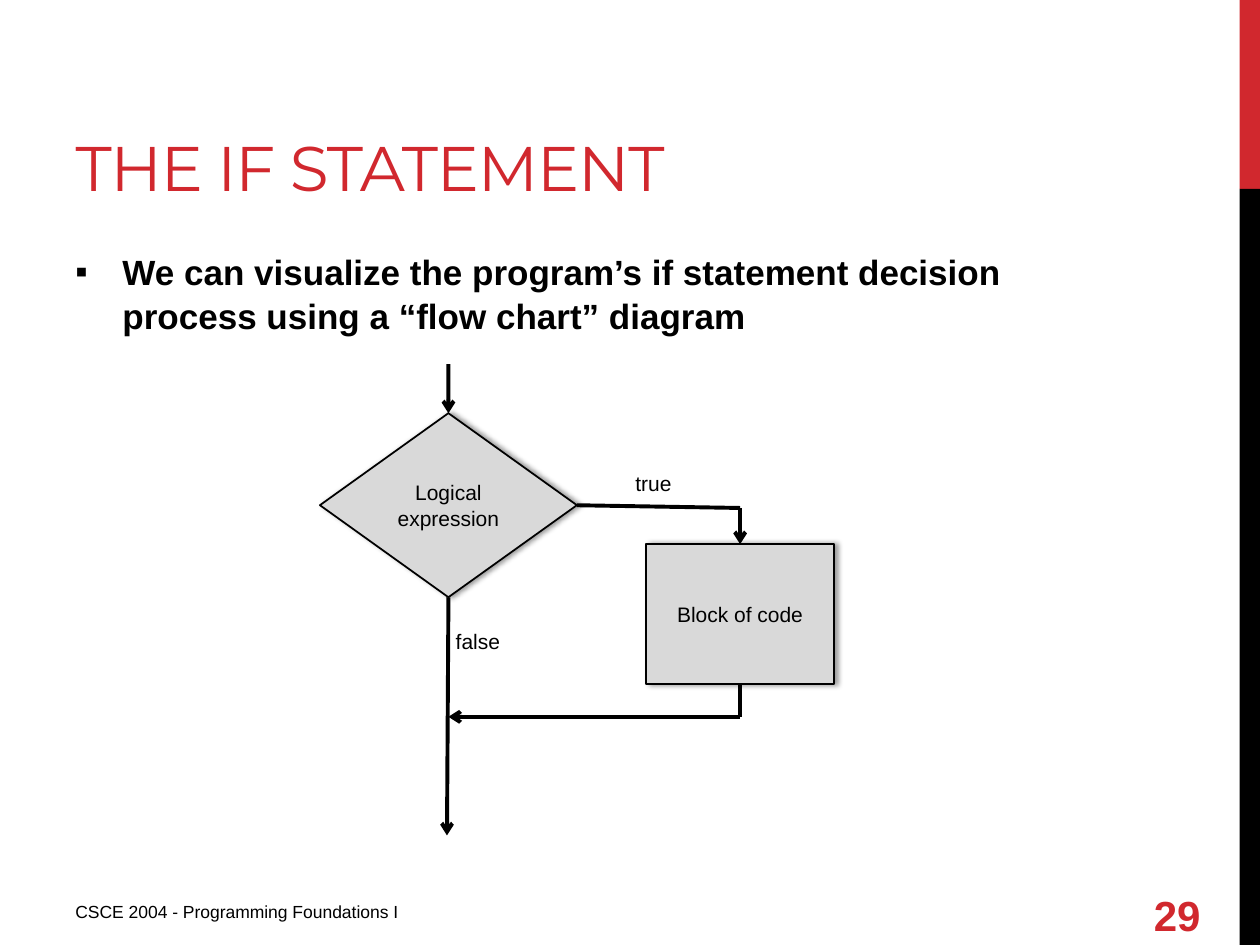
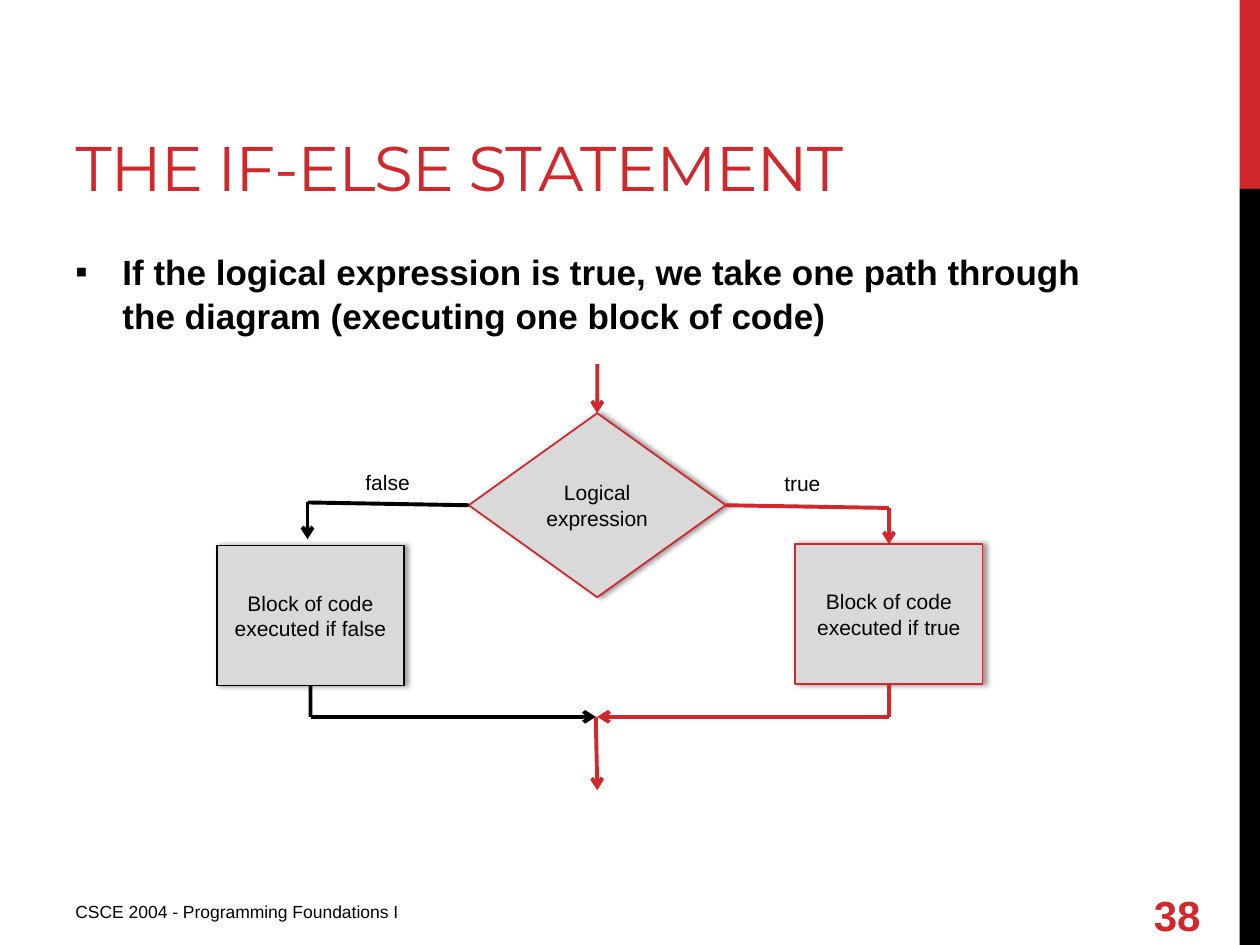
import lxml.etree
import pptx
import pptx.dml.color
import pptx.enum.shapes
import pptx.enum.text
import pptx.oxml.ns
import pptx.shapes.autoshape
import pptx.util

Cm = pptx.util.Cm
Pt = pptx.util.Pt
RGBColor = pptx.dml.color.RGBColor
MSO_SHAPE = pptx.enum.shapes.MSO_SHAPE
ANCHOR = pptx.enum.text.MSO_ANCHOR
CENTER = pptx.enum.text.PP_ALIGN.CENTER
qn = pptx.oxml.ns.qn

RED = RGBColor(0xD1, 0x28, 0x2E)
BLACK = RGBColor(0, 0, 0)
WHITE = RGBColor(0xFF, 0xFF, 0xFF)
GRAY = RGBColor(0xD9, 0xD9, 0xD9)

TEXT_FONT = "Arial"
TITLE_FONT = "Montserrat"
FOOTER = "CSCE 2004 - Programming Foundations I"

# Boxes as left, top, width, height in cm
TITLE_BOX = (1.27, 0.43, 16.08, 3.81)
BODY_BOX = (1.27, 4.88, 21.16, 12.14)
FOOTER_BOX = (1.27, 18.03, 9.53, 0.79)
NUMBER_BOX = (23.01, 17.93, 1.88, 1.02)
RED_BAND = (24.99, 0, 0.41, 3.81)
BLACK_BAND = (24.99, 3.81, 0.41, 15.24)

# Flow chart measures in cm, from the diamond's left and the entry arrow's top
CHART_TOP = 7.34
DIAMOND = (0, 0.99, 5.18, 3.71)
BLOCK_SIZE = (3.78, 2.82)
LABEL_SIZE = (2.57, 0.76)
AXIS_X = DIAMOND[2] / 2
TRUE_X = 8.47
FALSE_X = -3.19
JOIN_Y = 7.11
TOP, LEFT, BOTTOM, RIGHT = range(4)


def add_xml(parent, tag, **attributes):
    element = lxml.etree.SubElement(parent, qn(tag))
    for name, value in attributes.items():
        element.set(name, str(value))
    return element


def format_text(paragraph, size, color=BLACK, bold=False, font=TEXT_FONT):
    for run in paragraph.runs:
        run.font.name = font
        run.font.size = Pt(size)
        run.font.bold = bold
        run.font.color.rgb = color


def add_text(slide, box, text, size, **style):
    frame = slide.shapes.add_textbox(*map(Cm, box)).text_frame
    frame.word_wrap = True
    frame.text = text
    format_text(frame.paragraphs[0], size, **style)
    return frame


def add_box(slide, kind, box, fill=None, line=None, text="", width=1):
    shape = slide.shapes.add_shape(kind, *map(Cm, box))
    shape.shadow.inherit = False
    if fill is None:
        shape.fill.background()
    else:
        shape.fill.solid()
        shape.fill.fore_color.rgb = fill
    if line is None:
        shape.line.fill.background()
    else:
        shape.line.color.rgb = line
        shape.line.width = Pt(width)
    if text:
        shape.text_frame.word_wrap = True
        shape.text_frame.text = text
        paragraph = shape.text_frame.paragraphs[0]
        paragraph.alignment = CENTER
        format_text(paragraph, 12)
    return shape


def add_shadow(shape):
    effects = shape._element.spPr.find(qn("a:effectLst"))
    shadow = add_xml(effects, "a:outerShdw", blurRad=Pt(3.1), dist=Pt(1.8),
                     dir=0, rotWithShape=0)
    color = add_xml(shadow, "a:srgbClr", val=BLACK)
    add_xml(color, "a:alpha", val=40000)


class FlowChart:
    """Places flow chart parts relative to a left and top in cm."""

    def __init__(self, slide, left, top):
        self.slide, self.left, self.top = slide, left, top

    def place(self, x, y):
        return self.left + x, self.top + y

    def step(self, kind, x, y, size, text, color):
        shape = add_box(self.slide, kind, (*self.place(x, y), *size),
                        GRAY, color, text)
        add_shadow(shape)
        return shape

    def block(self, center_x, y, text, color):
        return self.step(MSO_SHAPE.RECTANGLE, center_x - BLOCK_SIZE[0] / 2, y,
                         BLOCK_SIZE, text, color)

    def label(self, x, y, text, fill=None, line=None):
        shape = add_box(self.slide, MSO_SHAPE.RECTANGLE,
                        (*self.place(x, y), *LABEL_SIZE), fill, line, text, 0.75)
        shape.text_frame.vertical_anchor = ANCHOR.TOP

    def link(self, start, end, color, arrow=False):
        """Each end is an (x, y) point or a (shape, side) pair."""
        joined = [isinstance(spot[0], pptx.shapes.autoshape.Shape)
                  for spot in (start, end)]
        points = [(0, 0) if is_joined else self.place(*spot)
                  for spot, is_joined in zip((start, end), joined)]
        connector = self.slide.shapes.add_connector(
            pptx.enum.shapes.MSO_CONNECTOR.STRAIGHT,
            *map(Cm, points[0] + points[1]))
        if joined[0]:
            connector.begin_connect(*start)
        if joined[1]:
            connector.end_connect(*end)
        connector.line.color.rgb = color
        connector.line.width = Pt(2.25)
        if arrow:
            add_xml(connector.line._get_or_add_ln(), "a:tailEnd", type="arrow")
        add_xml(connector._element.spPr, "a:effectLst")


def draw_true_path(chart, block_text, color):
    """Entry arrow, decision and the branch taken when it is true."""
    diamond = chart.step(MSO_SHAPE.DIAMOND, *DIAMOND[:2], DIAMOND[2:],
                         "Logical expression", color)
    block = chart.block(TRUE_X, 3.63, block_text, color)
    corner, turn = (TRUE_X, 2.9), (TRUE_X, JOIN_Y)
    chart.link(corner, (block, TOP), color, arrow=True)
    chart.link((block, BOTTOM), turn, color)
    chart.link(turn, (AXIS_X, JOIN_Y), color, arrow=True)
    chart.link((AXIS_X, 0), (diamond, TOP), color, arrow=True)
    chart.link((diamond, RIGHT), corner, color)
    chart.label(5.44, 2.03, "true", line=WHITE)
    return diamond


def draw_if_chart(slide):
    chart = FlowChart(slide, 6.45, CHART_TOP)
    diamond = draw_true_path(chart, "Block of code", BLACK)
    chart.label(1.9, 5.21, "false", fill=WHITE)
    chart.link((diamond, BOTTOM), (2.56, 9.5), BLACK, arrow=True)


def draw_if_else_chart(slide):
    chart = FlowChart(slide, 9.45, CHART_TOP)
    diamond = draw_true_path(chart, "Block of code executed if true", RED)
    # False branch
    chart.label(-2.92, 2.01, "false", fill=WHITE)
    block = chart.block(FALSE_X, 3.66, "Block of code executed if false", BLACK)
    corner, turn = (-3.25, 2.79), (FALSE_X, JOIN_Y)
    chart.link((diamond, LEFT), corner, BLACK)
    chart.link(corner, (-3.25, 3.53), BLACK, arrow=True)
    chart.link((block, BOTTOM), turn, BLACK)
    chart.link(turn, (2.56, JOIN_Y), BLACK, arrow=True)
    # Common exit
    chart.link((2.56, JOIN_Y), (AXIS_X, 8.59), RED, arrow=True)


def set_title(slide, text):
    title = slide.shapes.title
    title.left, title.top, title.width, title.height = map(Cm, TITLE_BOX)
    frame = title.text_frame
    frame.text = text
    frame.word_wrap = True
    frame.auto_size = pptx.enum.text.MSO_AUTO_SIZE.NONE
    frame.vertical_anchor = ANCHOR.BOTTOM
    paragraph = frame.paragraphs[0]
    paragraph.alignment = pptx.enum.text.PP_ALIGN.LEFT
    format_text(paragraph, 36, RED, font=TITLE_FONT)
    paragraph.runs[0].font._element.set("spc", "-60")


def add_bullet(slide, text):
    paragraph = add_text(slide, BODY_BOX, text, 20, bold=True).paragraphs[0]
    paragraph.line_spacing = 1.05
    paragraph.space_after = Pt(6)
    properties = paragraph._p.get_or_add_pPr()
    properties.set("marL", str(Cm(0.95)))
    properties.set("indent", str(-Cm(0.95)))
    add_xml(properties, "a:buFont", typeface=TEXT_FONT)
    add_xml(properties, "a:buChar", char="▪")


def add_content_slide(presentation, title, bullet, number, draw_chart):
    slide = presentation.slides.add_slide(
        presentation.slide_layouts.get_by_name("Title Only"))
    for band, color in ((RED_BAND, RED), (BLACK_BAND, BLACK)):
        add_box(slide, MSO_SHAPE.RECTANGLE, band, color)
    set_title(slide, title)
    add_bullet(slide, bullet)
    add_text(slide, FOOTER_BOX, FOOTER, 10)
    number_frame = add_text(slide, NUMBER_BOX, number, 24, color=RED, bold=True)
    number_frame.vertical_anchor = ANCHOR.MIDDLE
    draw_chart(slide)


def main():
    presentation = pptx.Presentation()
    presentation.slide_width, presentation.slide_height = Cm(25.4), Cm(19.05)
    add_content_slide(
        presentation, "THE IF STATEMENT",
        "We can visualize the program’s if statement decision process "
        "using a “flow chart” diagram", "29", draw_if_chart)
    add_content_slide(
        presentation, "THE IF-ELSE STATEMENT",
        "If the logical expression is true, we take one path through "
        "the diagram (executing one block of code)", "38", draw_if_else_chart)
    presentation.save("out.pptx")


if __name__ == "__main__":
    main()
